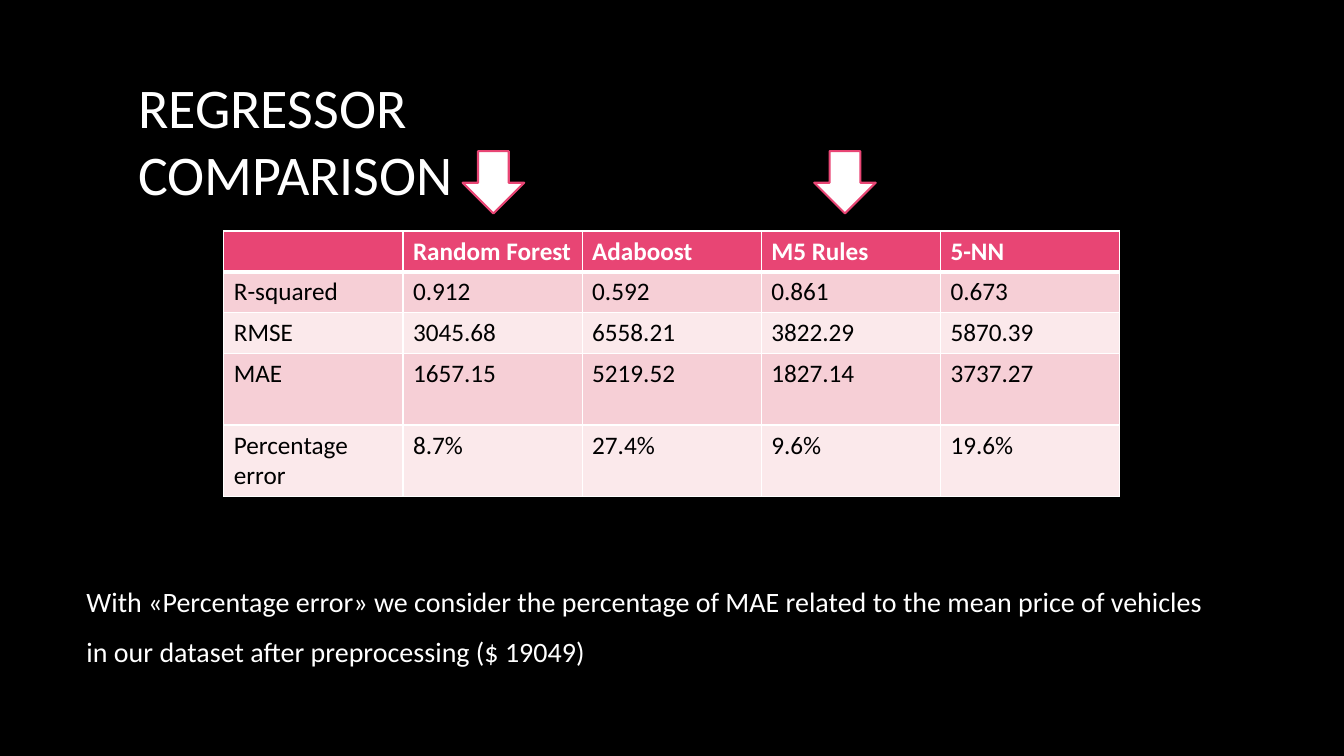
from lxml import etree
from pptx import Presentation
from pptx.dml.color import RGBColor
from pptx.enum import shapes, text
from pptx.oxml.ns import qn
from pptx.util import Cm, Pt

WHITE, BLACK, PINK = "FFFFFF", "000000", "E84574"
BANDS = ["F6CFD6", "FBE9EB"]


def paint(fill, color):
    fill.solid()
    fill.fore_color.rgb = RGBColor.from_string(color)


def write(frame, words, size=18, color=WHITE, bold=False, spacing=1.0):
    frame.word_wrap = True
    frame.vertical_anchor = text.MSO_ANCHOR.TOP
    para = frame.paragraphs[0]
    para.alignment = text.PP_ALIGN.LEFT
    para.line_spacing = spacing
    span = para.add_run()
    span.text = words
    span.font.name = "Calibri"
    span.font.size = Pt(size)
    span.font.bold = bold
    paint(span.font.fill, color)


deck = Presentation()
deck.slide_width, deck.slide_height = Cm(33.87), Cm(19.05)
page = deck.slides.add_slide(deck.slide_layouts.get_by_name("Title Only"))
paint(page.background.fill, BLACK)

# Title
title = page.shapes.title
title.left, title.top, title.width, title.height = Cm(3.23), Cm(1.7), Cm(15.37), Cm(2.36)
title.text_frame.auto_size = text.MSO_AUTO_SIZE.NONE
title.text_frame.margin_right = Cm(0.5)
write(title.text_frame, "REGRESSOR COMPARISON", size=40)

# Table of scores
scores = [
    ["", "Random Forest", "Adaboost", "M5 Rules", "5-NN"],
    ["R-squared", "0.912", "0.592", "0.861", "0.673"],
    ["RMSE", "3045.68", "6558.21", "3822.29", "5870.39"],
    ["MAE", "1657.15", "5219.52", "1827.14", "3737.27"],
    ["Percentage error", "8.7%", "27.4%", "9.6%", "19.6%"],
]
row_heights = [1.03, 1.03, 1.03, 1.8, 1.8]
table = page.shapes.add_table(
    len(scores), len(scores[0]), Cm(5.64), Cm(5.82), Cm(22.58), Cm(sum(row_heights))
).table

for row, values in enumerate(scores):
    table.rows[row].height = Cm(row_heights[row])
    header = row == 0
    for column, value in enumerate(values):
        cell = table.cell(row, column)
        properties = cell._tc.get_or_add_tcPr()
        for side in ("lnL", "lnR", "lnT", "lnB"):
            thick = (header and side == "lnB") or (row == 1 and side == "lnT")
            border = etree.SubElement(properties, qn(f"a:{side}"), w=str(Pt(3 if thick else 1)))
            border_fill = etree.SubElement(border, qn("a:solidFill"))
            etree.SubElement(border_fill, qn("a:srgbClr"), val=WHITE)
        paint(cell.fill, PINK if header else BANDS[(row - 1) % 2])
        if value:
            write(cell.text_frame, value, color=WHITE if header else BLACK, bold=header)

# Explanation below the table
note = page.shapes.add_textbox(Cm(1.93), Cm(14.17), Cm(28.73), Cm(2.69))
write(
    note.text_frame,
    "With «Percentage error» we consider the percentage of MAE related to the mean price "
    "of vehicles in our dataset after preprocessing ($ 19049)",
    size=20,
    spacing=1.5,
)
note.text_frame.auto_size = text.MSO_AUTO_SIZE.SHAPE_TO_FIT_TEXT

# Arrows above the two best regressors
for left in (11.66, 20.52):
    arrow = page.shapes.add_shape(
        shapes.MSO_SHAPE.DOWN_ARROW, Cm(left), Cm(3.81), Cm(1.55), Cm(1.57)
    )
    arrow.shadow.inherit = False
    paint(arrow.fill, WHITE)
    paint(arrow.line.fill, PINK)
    arrow.line.width = Pt(1.5)

deck.save("out.pptx")
